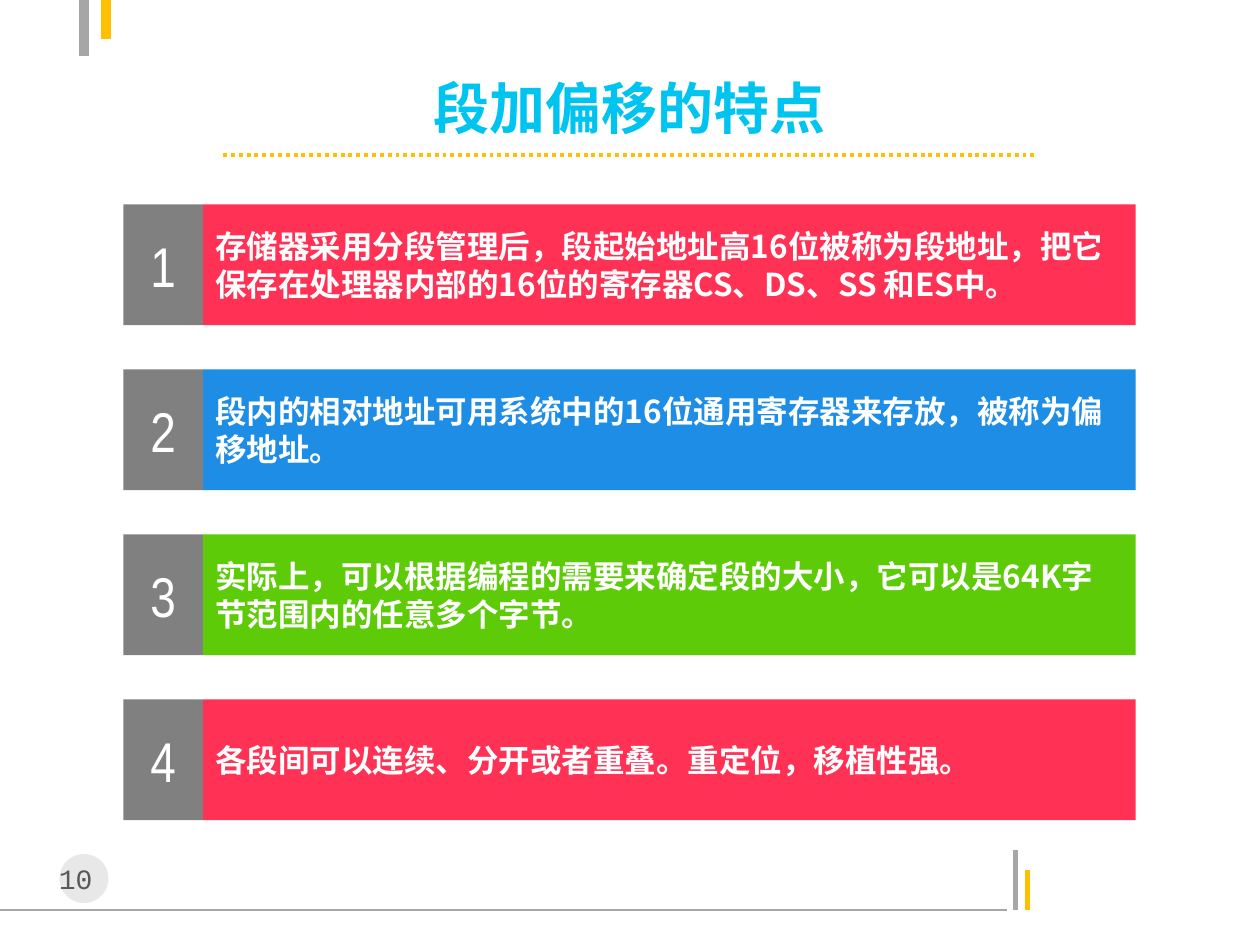
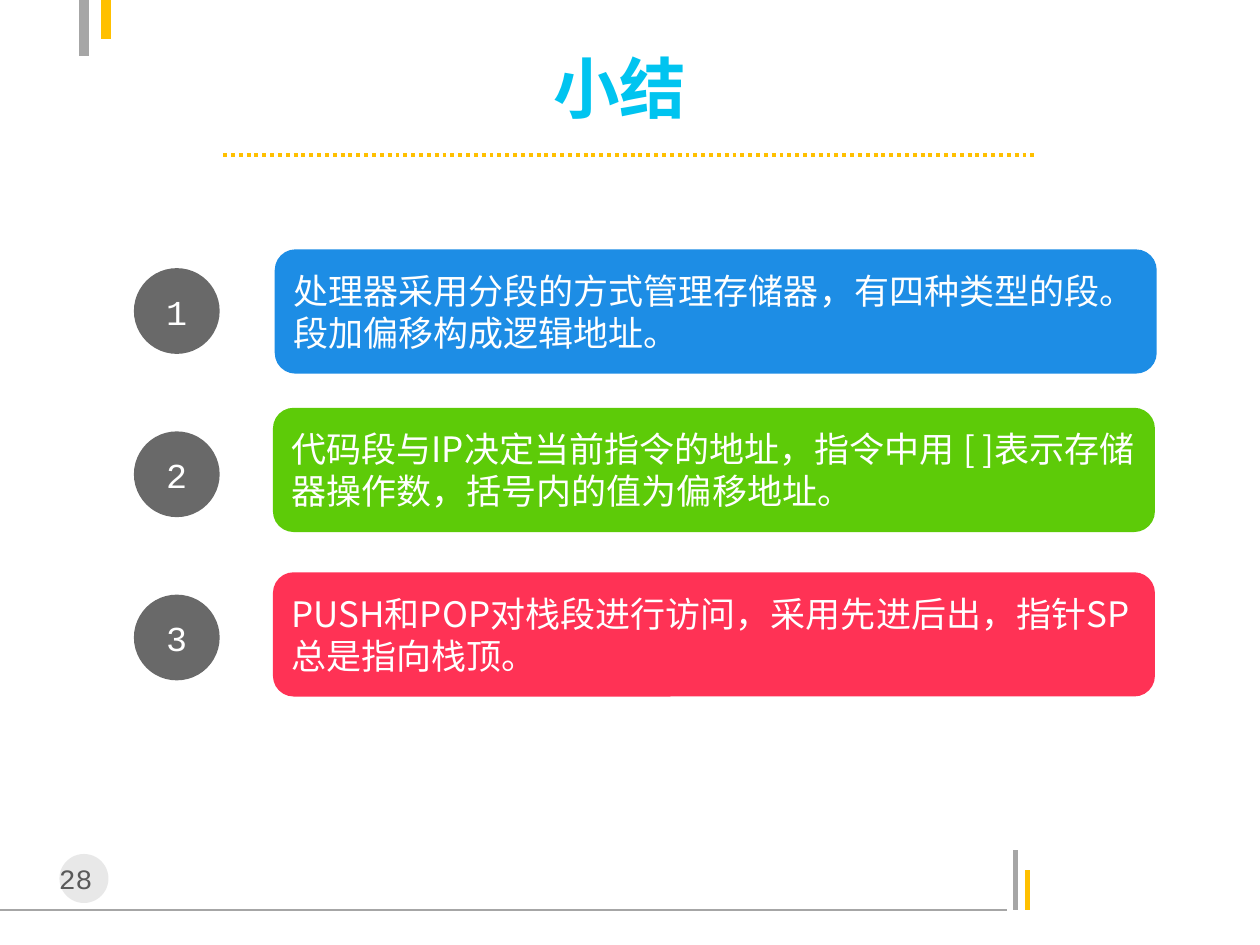
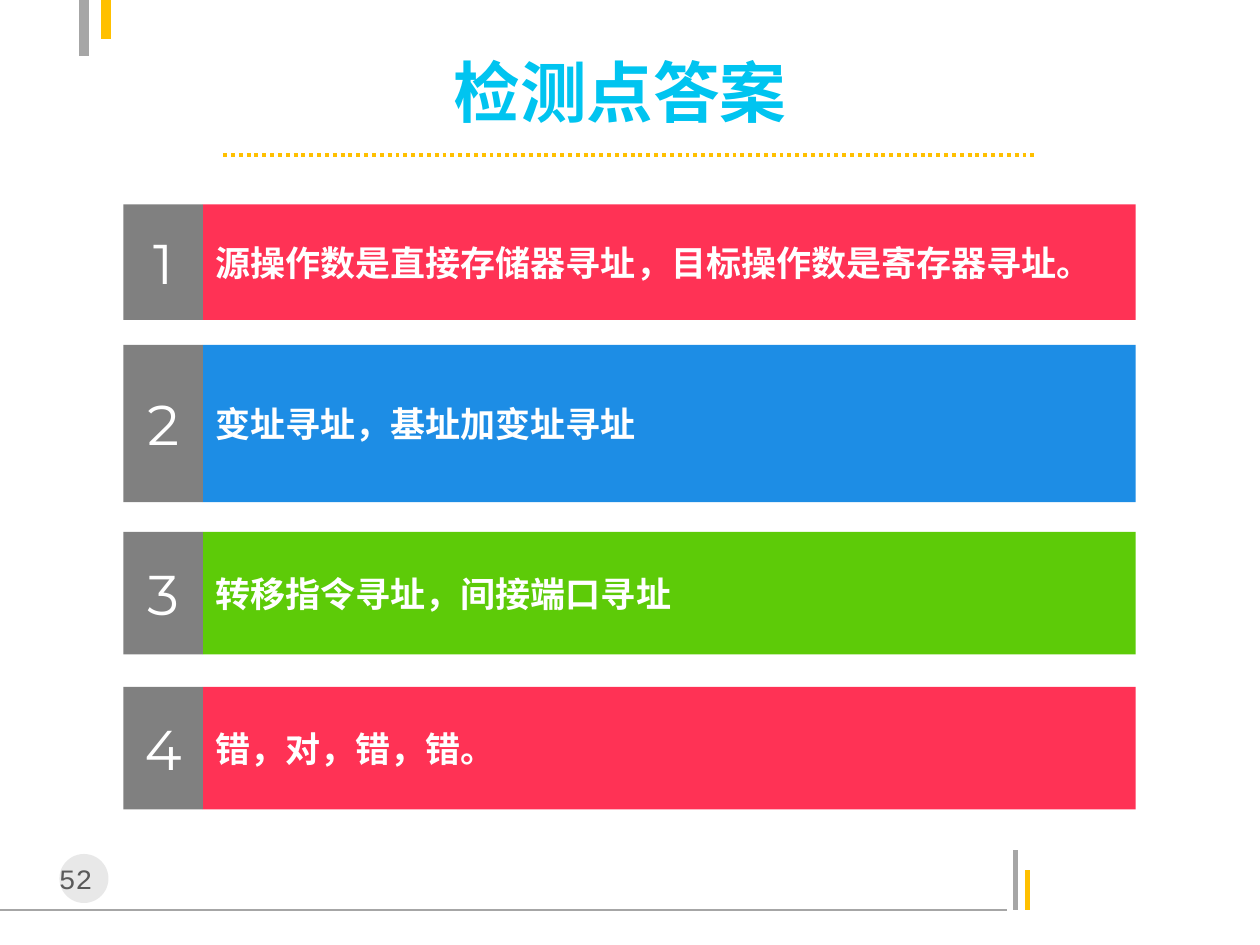
from lxml import etree
from pptx import Presentation
from pptx import util as u
from pptx.dml import color
from pptx.enum import dml, shapes, text
from pptx.oxml import ns

Pt = u.Pt

# Shared colours and fonts
RED, BLUE, GREEN = "FF3255", "1D8DE5", "5DCB08"
GREY, GOLD, CYAN, WHITE = "A6A6A6", "FFC000", "00C4F0", "FFFFFF"
CJK = "Noto Sans CJK SC"
LEFT, CENTER = text.PP_ALIGN.LEFT, text.PP_ALIGN.CENTER

# Frame lines: x1, y1, x2, y2, colour, width, dash
FRAME_LINES = [
    (0, 520, 575.5, 520, GREY, 0.75, None),
    (580.5, 520, 580.5, 485.5, GREY, 3, None),
    (587, 520, 587, 497, GOLD, 3, None),
    (48, 0, 48, 32, GREY, 6, None),
    (60.5, 0, 60.5, 22.5, GOLD, 6, None),
    (127.5, 88.5, 592.5, 88.5, GOLD, 2.25, dml.MSO_LINE.ROUND_DOT),
]


def rgb(value):
    return color.RGBColor.from_string(value)


def points(*values):
    return [Pt(value) for value in values]


def set_attributes(target, values):
    for name, value in values.items():
        setattr(target, name, value)


def write(box, words, size, font, fill, bold=False, align=LEFT, **frame):
    """Put one formatted paragraph into a box."""
    set_attributes(box.text_frame, {
        "word_wrap": True,
        "auto_size": text.MSO_AUTO_SIZE.NONE,
        "vertical_anchor": text.MSO_ANCHOR.MIDDLE,
        **frame,
    })
    para = box.text_frame.paragraphs[0]
    para.alignment = align
    span = para.add_run()
    span.text = words
    set_attributes(span.font, {"size": Pt(size), "name": font, "bold": bold})
    span.font.color.rgb = rgb(fill)
    east_asian = etree.SubElement(span.font._element, ns.qn("a:ea"))
    east_asian.set("typeface", CJK)


def add_block(page, kind, place, fill):
    block = page.shapes.add_shape(kind, *points(*place))
    block.shadow.inherit = False
    block.fill.solid()
    block.fill.fore_color.rgb = rgb(fill)
    block.line.fill.background()
    return block


def add_line(page, x1, y1, x2, y2, fill, width, dash):
    line = page.shapes.add_connector(
        shapes.MSO_CONNECTOR.STRAIGHT, *points(x1, y1, x2, y2))
    line.line.color.rgb = rgb(fill)
    line.line.width = Pt(width)
    if dash:
        line.line.dash_style = dash
    etree.SubElement(line.element.spPr, ns.qn("a:effectLst"))
    return line


def build_frame(page):
    """Draw the common decoration and move it to the page's layout."""
    layout = page.slide_layout
    for holder in list(layout.placeholders):
        if holder.placeholder_format.type != shapes.PP_PLACEHOLDER.TITLE:
            layout.shapes.element.remove(holder.element)
    parts = [add_line(page, *line) for line in FRAME_LINES]
    disc = add_block(page, shapes.MSO_SHAPE.OVAL, (34, 488, 28, 28), "BFBFBF")
    tint = disc.element.spPr.find(".//" + ns.qn("a:srgbClr"))
    etree.SubElement(tint, ns.qn("a:alpha")).set("val", "35000")
    for part in parts + [disc]:
        layout.shapes.element.append(part.element)


def add_title(page, words, place, size, align=LEFT):
    title = page.shapes.title
    set_attributes(title, dict(zip(("left", "top", "width", "height"),
                                   points(*place))))
    write(title, words, size, CJK, CYAN, bold=True, align=align,
          word_wrap=False)


def add_page_number(page, number):
    box = page.shapes.add_textbox(*points(22.5, 489, 51, 26.5))
    write(box, f"{number} ", 16, "Courier New", "595959", align=CENTER,
          vertical_anchor=text.MSO_ANCHOR.TOP)


def add_band(page, number, words, top, height, fill, size, font, number_font):
    """Grey number cell followed by a coloured band."""
    rectangle = shapes.MSO_SHAPE.RECTANGLE
    band = add_block(page, rectangle, (116, top, 533, height), fill)
    write(band, words, size, font, WHITE, bold=True)
    cell = add_block(page, rectangle, (70.5, top, 45.5, height), "808080")
    write(cell, str(number), 32, number_font, WHITE, align=CENTER)


def add_summary(page, number, words, left, top, circle_top, fill):
    """Numbered circle followed by a rounded panel."""
    panel = add_block(page, shapes.MSO_SHAPE.FLOWCHART_ALTERNATE_PROCESS,
                      (left, top, 504, 71), fill)
    write(panel, words, 20, CJK, WHITE)
    circle = add_block(page, shapes.MSO_SHAPE.OVAL,
                       (76.5, circle_top, 49, 49), "696969")
    write(circle, str(number), 20, "Courier New", WHITE, align=CENTER,
          margin_left=0, margin_right=0, margin_top=0, margin_bottom=0)


def build_features(page):
    add_title(page, "段加偏移的特点", (194.5, 43, 330.5, 36), 32, CENTER)
    features = [
        ("存储器采用分段管理后，段起始地址高16位被称为段地址，"
         "把它保存在处理器内部的16位的寄存器CS、DS、SS 和ES中。", RED),
        ("段内的相对地址可用系统中的16位通用寄存器来存放，被称为偏移地址。", BLUE),
        ("实际上，可以根据编程的需要来确定段的大小，"
         "它可以是64K字节范围内的任意多个字节。", GREEN),
        ("各段间可以连续、分开或者重叠。重定位，移植性强。", RED),
    ]
    for index, (words, fill) in enumerate(features):
        add_band(page, index + 1, words, 116.8 + 94.3 * index, 69, fill,
                 18, CJK, "Arial Narrow")
    add_page_number(page, 10)


def build_summary(page):
    add_title(page, "小结", (309, 31.5, 102, 36), 38)
    summaries = [
        ("处理器采用分段的方式管理存储器，有四种类型的段。"
         "段加偏移构成逻辑地址。", 157, 142.5, BLUE),
        ("代码段与IP决定当前指令的地址，指令中用 [ ]表示存储器操作数，"
         "括号内的值为偏移地址。", 156, 233, GREEN),
        ("PUSH和POP对栈段进行访问，采用先进后出，指针SP总是指向栈顶。",
         156, 327, RED),
    ]
    for index, (words, left, top, fill) in enumerate(summaries):
        add_summary(page, index + 1, words, left, top,
                    153.2 + 93.3 * index, fill)
    add_page_number(page, 28)


def build_answers(page):
    add_title(page, "检测点答案", (252, 34, 261.5, 36), 38)
    answers = [
        ("源操作数是直接存储器寻址，目标操作数是寄存器寻址。", 116.8, 66, RED),
        ("变址寻址，基址加变址寻址", 197, 90, BLUE),
        ("转移指令寻址，间接端口寻址", 304, 70, GREEN),
        ("错，对，错，错。", 392.5, 70, RED),
    ]
    for number, (words, top, height, fill) in enumerate(answers, 1):
        add_band(page, number, words, top, height, fill,
                 20, "Calibri", "Montserrat")
    add_page_number(page, 52)


def main():
    deck = Presentation()
    deck.slide_width, deck.slide_height = points(720, 540)
    title_only = deck.slide_layouts[5]
    builders = (build_features, build_summary, build_answers)
    pages = [deck.slides.add_slide(title_only) for _ in builders]
    build_frame(pages[0])
    for build, page in zip(builders, pages):
        build(page)
    deck.save("out.pptx")


if __name__ == "__main__":
    main()
